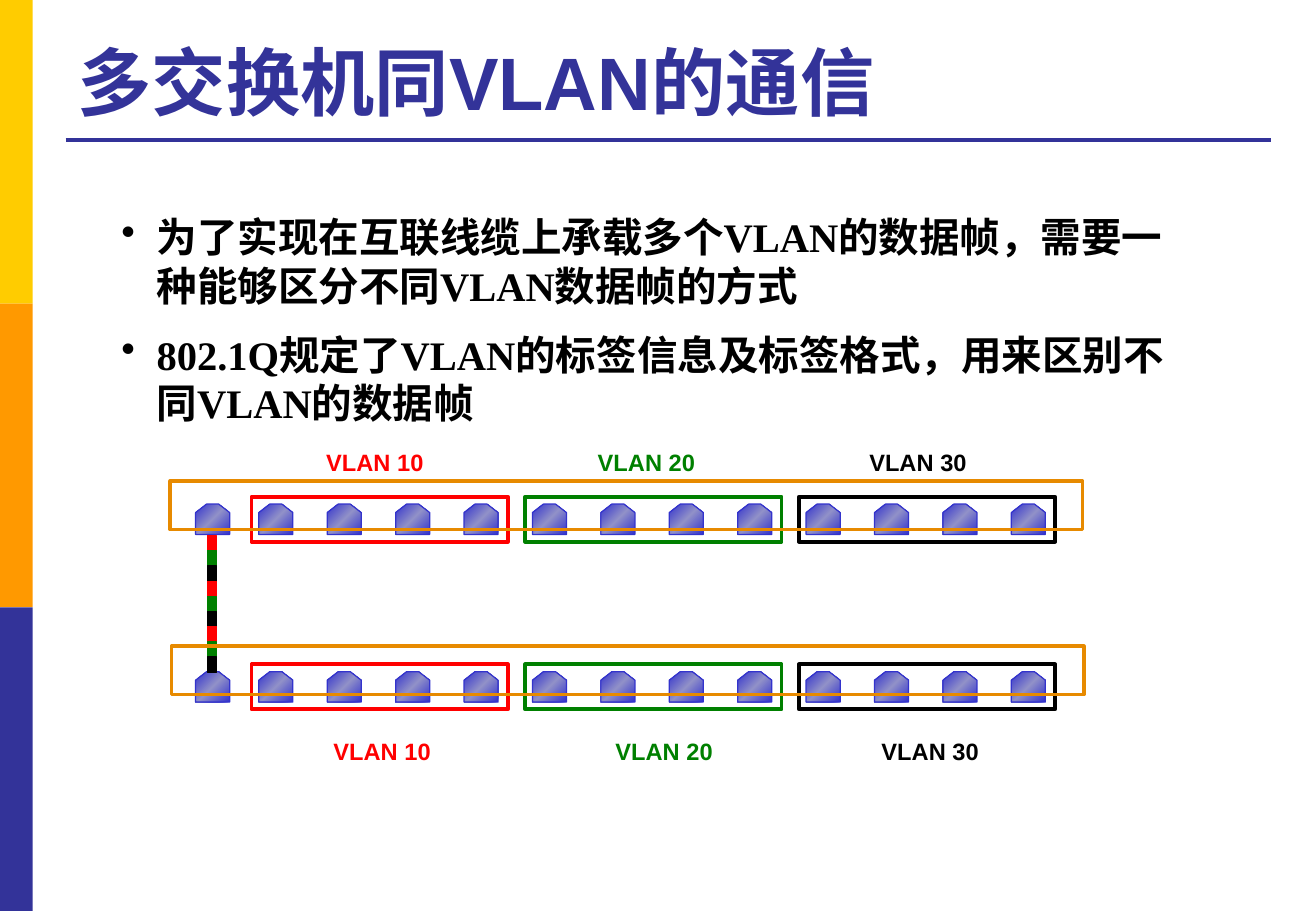
"""Build the slide on same-VLAN communication across several switches."""
from copy import deepcopy
from dataclasses import dataclass

from lxml.etree import SubElement
from pptx import Presentation
from pptx.dml.color import RGBColor
from pptx.enum.lang import MSO_LANGUAGE_ID as LANG
from pptx.enum.shapes import MSO_CONNECTOR as CONN, MSO_SHAPE as SHAPE
from pptx.enum.text import MSO_ANCHOR as ANCHOR, PP_ALIGN as ALIGN
from pptx.oxml.ns import qn
from pptx.util import Inches, Pt

TITLE = "多交换机同VLAN的通信"
BULLETS = [
    "为了实现在互联线缆上承载多个VLAN的数据帧，需要一种能够区分不同VLAN数据帧的方式",
    "802.1Q规定了VLAN的标签信息及标签格式，用来区别不同VLAN的数据帧",
]
VLANS = [("VLAN 10", "FF0000"), ("VLAN 20", "008000"), ("VLAN 30", "000000")]
SWITCHES = [
    {"port_y": 4.15, "label_y": 3.64, "case": (1.4, 3.96),
     "labels": [(2.46, 1.25), (4.71, 1.22), (6.96, 1.19)]},
    {"port_y": 5.53, "label_y": 6.02, "case": (1.41, 5.32),
     "labels": [(2.52, 1.25), (4.77, 1.39), (7.02, 1.27)]},
]
PORTS_PER_VLAN, TRUNK_REPEATS = 4, 3
PORT_X, PORT_PITCH, PORT_W, PORT_H = 2.13, 0.563, 0.28, 0.25
CUT_X, CUT_Y = 0.09, 0.07
TRUNK_X, TRUNK_PORT_X, TRUNK_Y, TRUNK_PITCH = 1.71, 1.61, 4.41, 0.125
GROUP_PITCH = PORTS_PER_VLAN * PORT_PITCH


@dataclass(frozen=True)
class Theme:
    """Colours, fonts and type sizes."""
    navy: str = "333399"
    ink: str = "000000"
    case: str = "E78A00"
    side: tuple = ("FFCC00", "FF9900", "333399")
    port_line: str = "3333CC"
    port_stops: tuple = ((0, "3333CC"), (0.5, "9191C8"), (1, "3333CC"))
    sans: str = "Arial"
    serif: str = "Times New Roman"
    title: int = 44
    body: int = 24
    label: int = 14


T = Theme()
prs = Presentation()
prs.slide_width, prs.slide_height = Inches(10.83), Inches(7.5)
shapes = prs.slides.add_slide(prs.slide_layouts[6]).shapes


def rgb(color):
    return RGBColor.from_string(color)


def add_text(lines, box, *, size, color, font=T.sans, align=ALIGN.LEFT,
             anchor=ANCHOR.TOP, before=0, bullet=False):
    tf = shapes.add_textbox(*map(Inches, box)).text_frame
    tf.word_wrap, tf.vertical_anchor = True, anchor
    for i, line in enumerate(lines):
        p = tf.add_paragraph() if i else tf.paragraphs[0]
        p.alignment, p.space_before = align, Pt(before)
        r = p.add_run()
        r.text = line
        r.font.name, r.font.size, r.font.bold = font, Pt(size), True
        r.font.color.rgb = rgb(color)
        r.font.language_id = LANG.SIMPLIFIED_CHINESE
        if bullet:
            pPr = p._p.get_or_add_pPr()
            pPr.set("marL", str(Inches(0.29)))
            pPr.set("indent", str(-Inches(0.29)))
            SubElement(pPr, qn("a:buChar")).set("char", "•")


def add_rect(box, *, fill=None, line=None, width=0.75):
    sp = shapes.add_shape(SHAPE.RECTANGLE, *map(Inches, box))
    sp.shadow.inherit = False
    if fill:
        sp.fill.solid()
        sp.fill.fore_color.rgb = rgb(fill)
    else:
        sp.fill.background()
    if line:
        sp.line.color.rgb, sp.line.width = rgb(line), Pt(width)
    else:
        sp.line.fill.background()


def add_port(x, y):
    right, bottom = x + PORT_W, y + PORT_H
    outline = [(x + CUT_X, y), (x, y + CUT_Y), (x, bottom), (right, bottom),
               (right, y + CUT_Y), (right - CUT_X, y)]
    points = [(Inches(px), Inches(py)) for px, py in outline]
    builder = shapes.build_freeform(*points[0])
    builder.add_line_segments(points[1:], close=True)
    sp = builder.convert_to_shape()
    sp.shadow.inherit = False
    sp.fill.gradient()
    sp.fill.gradient_angle = 315
    stops = sp._element.spPr.find(qn("a:gradFill")).find(qn("a:gsLst"))
    stops.append(deepcopy(stops[0]))
    for stop, (position, color) in zip(sp.fill.gradient_stops, T.port_stops):
        stop.position, stop.color.rgb = position, rgb(color)
    sp.line.color.rgb, sp.line.width = rgb(T.port_line), Pt(0.75)


def add_switch(switch):
    y = switch["port_y"]
    for i in range(PORTS_PER_VLAN * len(VLANS)):
        add_port(PORT_X + i * PORT_PITCH, y)
    for i, ((name, color), (x, w)) in enumerate(zip(VLANS, switch["labels"])):
        add_text([name], (x, switch["label_y"], w, 0.34), size=T.label,
                 color=color, align=ALIGN.CENTER, before=T.label / 2)
        add_rect((2.07 + i * GROUP_PITCH, y - 0.06, 2.11, 0.37),
                 line=color, width=2.25)
    add_port(TRUNK_PORT_X, y)


for i, color in enumerate(T.side):
    add_rect((0, 2.5 * i, 0.27, 2.5), fill=color)
rule = shapes.add_connector(CONN.STRAIGHT, *map(Inches, (0.54, 1.15, 10.46, 1.15)))
rule.line.color.rgb, rule.line.width = rgb(T.navy), Pt(2.25)
SubElement(rule._element.spPr, qn("a:effectLst"))

add_text([TITLE], (0.54, 0.21, 9.91, 0.87), size=T.title, color=T.navy,
         anchor=ANCHOR.BOTTOM)
add_text(BULLETS, (0.9, 1.7, 9.04, 1.92), size=T.body, color=T.ink,
         font=T.serif, before=T.body / 2, bullet=True)

for switch in SWITCHES:
    add_switch(switch)
for i, (_, color) in enumerate(VLANS * TRUNK_REPEATS):
    add_rect((TRUNK_X, TRUNK_Y + i * TRUNK_PITCH, 0.07, TRUNK_PITCH),
             fill=color, line=color)
for switch in SWITCHES:
    add_rect((*switch["case"], 7.51, 0.4), line=T.case, width=2)

prs.save("out.pptx")
